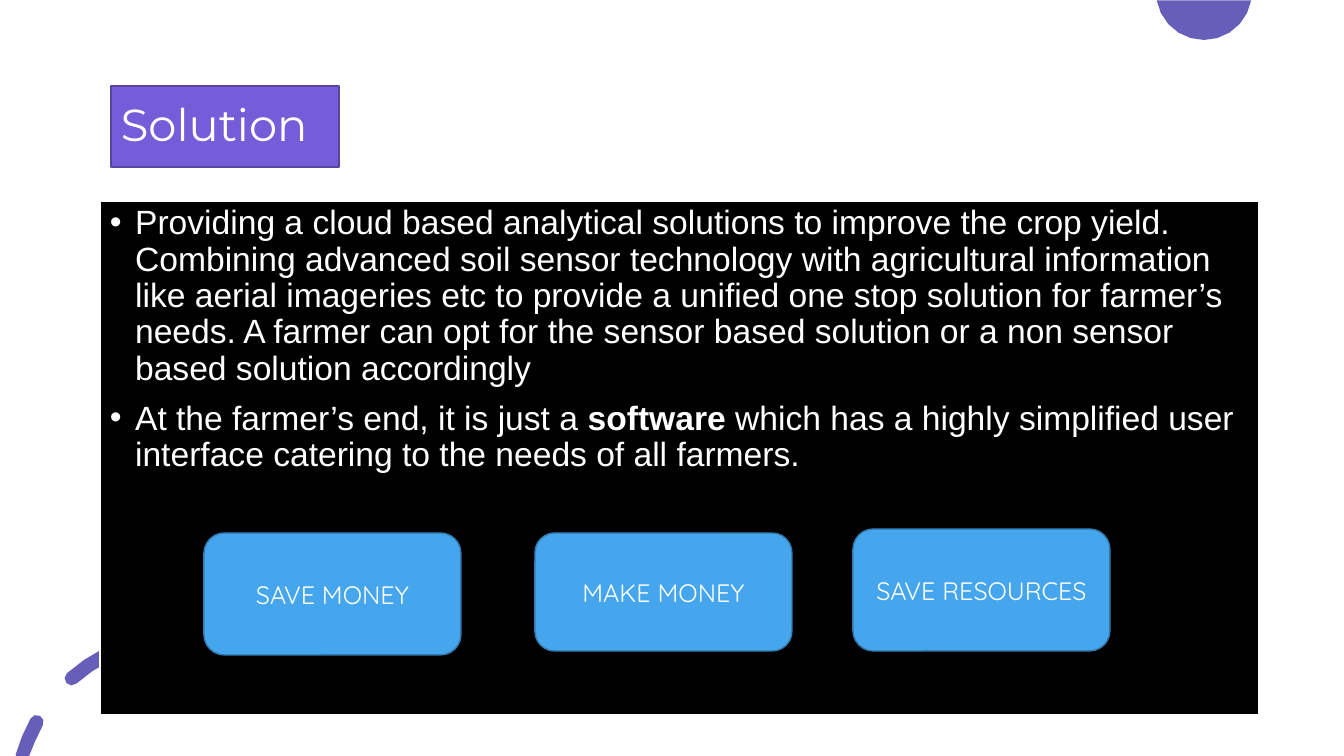
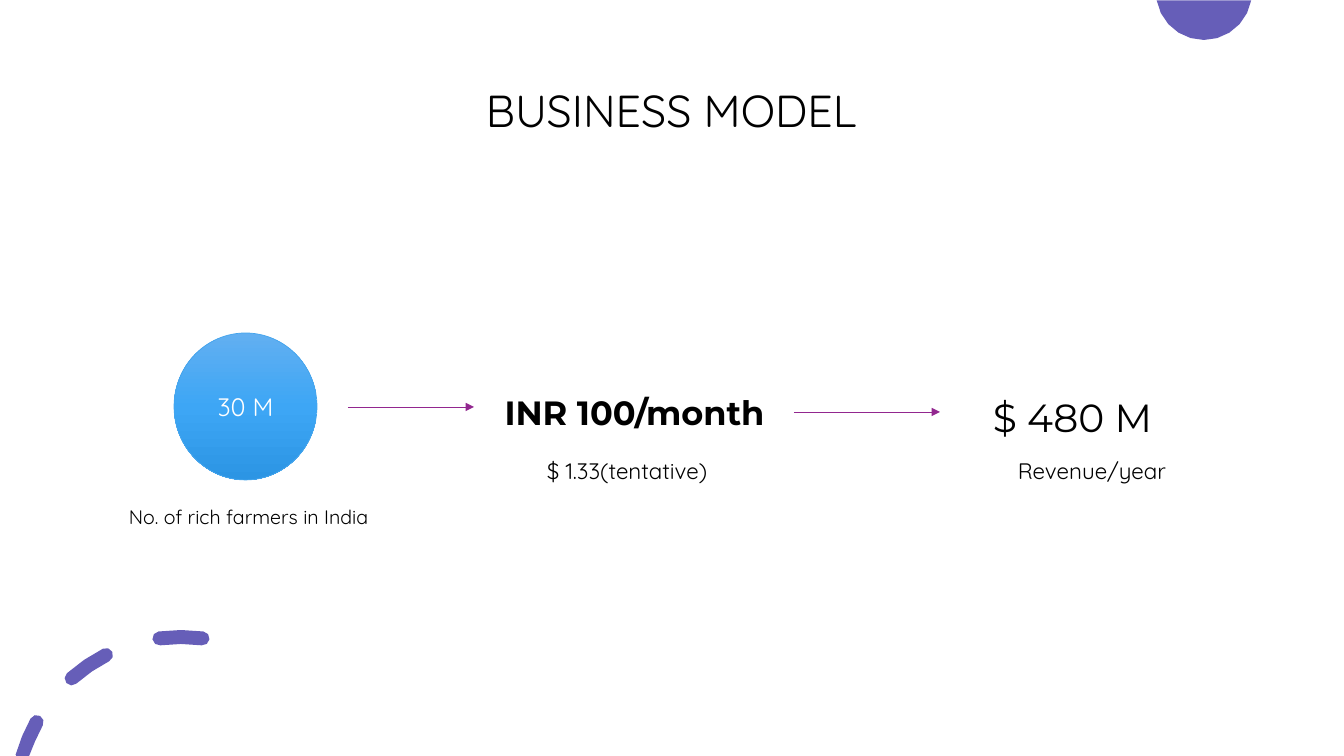
"""Builds two slides: a solution overview and a business model."""
import copy
import math
import lxml.etree
import pptx
import pptx.util
import pptx.dml.color
import pptx.enum.shapes
import pptx.enum.text
import pptx.oxml
import pptx.oxml.ns

RGB = pptx.dml.color.RGBColor
WHITE = RGB(0xFF, 0xFF, 0xFF)
BLACK = RGB(0x00, 0x00, 0x00)
DECOR = RGB(0x66, 0x5E, 0xB8)
VIOLET = RGB(0x75, 0x5D, 0xD9)
INDIGO = RGB(0x57, 0x45, 0xA1)
BLUE = RGB(0x45, 0xA5, 0xED)
NAVY = RGB(0x33, 0x7A, 0xAF)
PLUM = RGB(0x92, 0x27, 0x8F)
SKY = [RGB(0x62, 0xAF, 0xF1), RGB(0x3D, 0xA6, 0xF5), RGB(0x2C, 0x95, 0xE4)]

PX = 914400 / 100.8
WIDE, HIGH = 1344, 756
KIND = pptx.enum.shapes.MSO_SHAPE
LEFT, CENTER = pptx.enum.text.PP_ALIGN.LEFT, pptx.enum.text.PP_ALIGN.CENTER
TOP, MIDDLE = pptx.enum.text.MSO_ANCHOR.TOP, pptx.enum.text.MSO_ANCHOR.MIDDLE
qn = pptx.oxml.ns.qn


def add_box(slide, area, kind=None, fill=None, line=None, width=1):
    """Adds a preset shape, or a text box when no kind is given."""
    place = [round(v * PX) for v in area]
    if kind is None:
        return slide.shapes.add_textbox(*place)
    shape = slide.shapes.add_shape(kind, *place)
    shape.shadow.inherit = False
    if fill is not None:
        shape.fill.solid()
        shape.fill.fore_color.rgb = fill
    shape.line.color.rgb = line
    shape.line.width = pptx.util.Pt(width)
    return shape


def write(shape, paras, size, font, color, align=LEFT, anchor=TOP, space=None):
    """Writes paragraphs, each a list of (text, bold) runs."""
    frame = shape.text_frame
    frame.word_wrap = True
    frame.vertical_anchor = anchor
    for i, runs in enumerate(paras):
        para = frame.add_paragraph() if i else frame.paragraphs[0]
        para.alignment = align
        if space:
            para.line_spacing = space
        for words, bold in runs:
            run = para.add_run()
            run.text = words
            run.font.size = pptx.util.Pt(size)
            run.font.name = font
            run.font.bold = bold
            run.font.color.rgb = color
    return frame


deck = pptx.Presentation()
deck.slide_width = round(WIDE * PX)
deck.slide_height = round(HIGH * PX)

RING, HALF = 165, 7
HUB_X, HUB_Y = 181, 802
dot = [(1204 + 48 * math.cos(math.radians(t)), -8 + 48 * math.sin(math.radians(t)))
       for t in range(10, 171, 16)]
dashes = []
for start, stop in [(-74, -61), (-41.5, -27), (-7.5, 7.5)]:
    edge = []
    for end, far, turn, rim in [(stop, start, 0, RING - HALF),
                                (start, stop, 180, RING + HALF)]:
        ray = math.radians(end)
        for u in range(0, 181, 45):
            tilt = math.radians(end + turn + u)
            edge.append((HUB_X + RING * math.sin(ray) + HALF * math.sin(tilt),
                         HUB_Y - RING * math.cos(ray) - HALF * math.cos(tilt)))
        ray = math.radians((end + far) / 2)
        edge.append((HUB_X + rim * math.sin(ray), HUB_Y - rim * math.cos(ray)))
    dashes.append([(x, min(y, HIGH)) for x, y in edge])

slides = [deck.slides.add_slide(deck.slide_layouts[6]) for _ in range(2)]
for slide in slides:
    for figure in ([dot], dashes):
        pen = None
        for edge in figure:
            spots = [(x * PX, y * PX) for x, y in edge]
            if pen is None:
                pen = slide.shapes.build_freeform(*spots[0])
            else:
                pen.move_to(*spots[0])
            pen.add_line_segments(spots[1:], close=True)
        shape = pen.convert_to_shape()
        shape.shadow.inherit = False
        shape.fill.solid()
        shape.fill.fore_color.rgb = DECOR
        shape.line.fill.background()

pitch, model = slides

title = add_box(pitch, (111, 86, 228, 81), KIND.RECTANGLE, VIOLET, INDIGO)
write(title, [[("Solution", False)]], 32, "Montserrat", WHITE, anchor=MIDDLE, space=0.9)

body = add_box(pitch, (100, 201, 1159, 514), KIND.RECTANGLE, BLACK, WHITE, 1.5)
points = [
    [("Providing a cloud based analytical solutions to improve the crop yield. "
      "Combining advanced soil sensor technology with agricultural information like "
      "aerial imageries etc to provide a unified one stop solution for farmer’s needs. "
      "A farmer can opt for the sensor based solution or a non sensor based solution "
      "accordingly", False)],
    [("At the farmer’s end, it is just a ", False), ("software", True),
     (" which has a highly simplified user interface catering to the needs of all "
      "farmers.", False)],
]
frame = write(body, points, 24, "Arial", WHITE, space=0.9)
for para in frame.paragraphs:
    para.space_before = pptx.util.Pt(10)
    props = para._p.get_or_add_pPr()
    props.set("marL", "228600")
    props.set("indent", "-228600")
    lxml.etree.SubElement(props, qn("a:buFont")).set("typeface", "Arial")
    lxml.etree.SubElement(props, qn("a:buChar")).set("char", "•")

for words, x, y, tall in [("SAVE MONEY", 204, 533, 122), ("MAKE MONEY", 535, 533, 118),
                          ("SAVE RESOURCES", 853, 529, 122)]:
    button = add_box(pitch, (x, y, 257, tall), KIND.ROUNDED_RECTANGLE, BLUE, NAVY)
    write(button, [[(words, False)]], 18, "Quicksand", WHITE, CENTER, MIDDLE)

title = add_box(model, (92, 40, 1159, 146))
write(title, [[("BUSINESS MODEL", False)]], 32, "Quicksand", BLACK, CENTER, MIDDLE, 0.9)

disc = add_box(model, (174, 333, 143, 147), KIND.OVAL, line=BLUE, width=0.5)
disc.fill.gradient()
disc.fill.gradient_angle = 270
stops = disc._element.spPr.find(".//" + qn("a:gsLst"))
stops.insert(1, copy.deepcopy(stops[0]))
for stop, color, spot in zip(disc.fill.gradient_stops, SKY, (0, 0.5, 1)):
    stop.color.rgb = color
    stop.position = spot
write(disc, [[("30 M", False)]], 18, "Quicksand", WHITE, CENTER, MIDDLE)

for x, end, y in [(348, 474, 407), (794, 940, 412)]:
    arrow = model.shapes.add_connector(
        pptx.enum.shapes.MSO_CONNECTOR.STRAIGHT,
        *[round(v * PX) for v in (x, y, end, y)])
    arrow.line.color.rgb = PLUM
    arrow.line.width = pptx.util.Pt(0.5)
    lxml.etree.SubElement(arrow.line._get_or_add_ln(), qn("a:tailEnd")).set("type", "triangle")
    lxml.etree.SubElement(arrow._element.spPr, qn("a:effectLst"))

for words, area, size, font, bold, align in [
    ("$ 480 M", (983, 388, 200, 57), 28, "Montserrat", False, LEFT),
    ("INR 100/month", (488, 387, 293, 50), 24, "Montserrat", True, CENTER),
    ("No. of rich farmers in India", (119, 500, 280, 34), 14, "Quicksand", False, LEFT),
    ("$ 1.33(tentative)", (537, 452, 227, 37), 16, "Quicksand", False, LEFT),
    ("Revenue/year", (1008, 452, 210, 37), 16, "Quicksand", False, LEFT),
]:
    write(add_box(model, area), [[(words, bold)]], size, font, BLACK, align)

deck.save("out.pptx")
